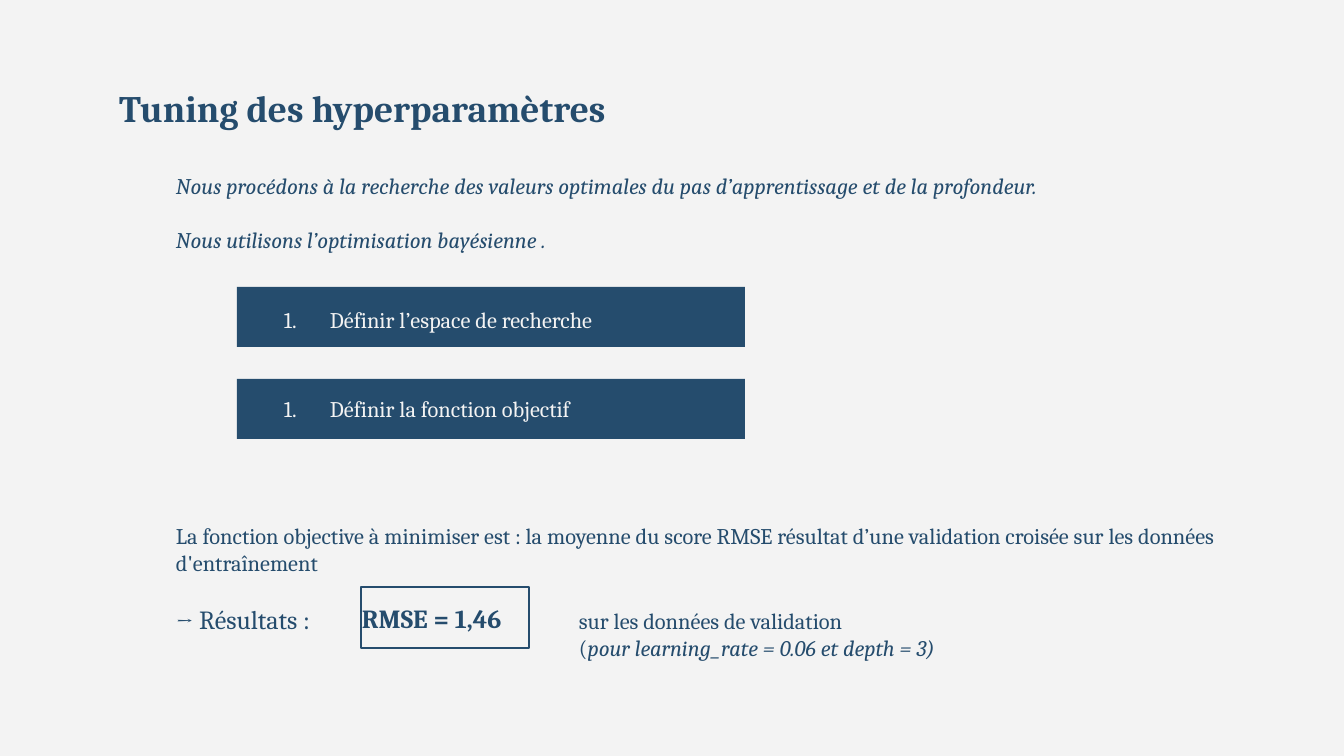
"""Build the slide on hyperparameter tuning."""
import lxml.etree
import pptx
import pptx.dml.color
import pptx.enum.shapes
import pptx.enum.text
import pptx.oxml.ns
import pptx.util

SCALE = 914400 / 134.4
NAVY, PALE = "254C6D", "F3F3F3"


def px(num):
    return pptx.util.Emu(round(num * SCALE))


def color(code):
    return pptx.dml.color.RGBColor.from_string(code)


class Deck:
    font = "Cambria"

    def __init__(self, wide, high):
        self.prs = pptx.Presentation()
        self.prs.slide_width, self.prs.slide_height = px(wide), px(high)
        self.slide = self.prs.slides.add_slide(self.prs.slide_layouts[5])
        fill = self.slide.background.fill
        fill.solid()
        fill.fore_color.rgb = color(PALE)

    def frame(self, shape, pad=(0, 0)):
        frame = shape.text_frame
        frame.word_wrap = True
        frame.auto_size = pptx.enum.text.MSO_AUTO_SIZE.NONE
        frame.vertical_anchor = pptx.enum.text.MSO_ANCHOR.MIDDLE
        frame.margin_left, frame.margin_top = px(pad[0]), px(pad[1])
        frame.margin_right = frame.margin_bottom = 0
        return frame

    def style(self, para, size=12, tint=NAVY, bold=False, slant=None):
        para.alignment = pptx.enum.text.PP_ALIGN.LEFT
        font = para.font
        font.name, font.size = self.font, pptx.util.Pt(size)
        font.color.rgb = color(tint)
        font.bold, font.italic = bold, slant

    def title(self, text, x, y, w, h):
        shape = self.slide.shapes.title
        shape.left, shape.top, shape.width, shape.height = map(px, (x, y, w, h))
        frame = self.frame(shape, (13, 0))
        frame.text = text
        self.style(frame.paragraphs[0], 20, bold=True)

    def text(self, lines, x, y, w, h, gap=0, slant=None, size=12):
        """Add lines, each a list of (text, run settings) pairs."""
        shape = self.slide.shapes.add_textbox(*map(px, (x, y, w, h)))
        frame = self.frame(shape)
        for i, line in enumerate(lines):
            para = frame.add_paragraph() if i else frame.paragraphs[0]
            self.style(para, size, slant=slant)
            para.space_before = px(gap if i else 0)
            for words, look in line:
                run = para.add_run()
                run.text = words
                for key, value in look.items():
                    setattr(run.font, key, value)

    def box(self, text, x, y, w, h, pad, fill=None, **look):
        kind = pptx.enum.shapes.MSO_SHAPE.RECTANGLE
        shape = self.slide.shapes.add_shape(kind, *map(px, (x, y, w, h)))
        shape.shadow.inherit = False
        if fill:
            shape.fill.solid()
            shape.fill.fore_color.rgb = color(fill)
            shape.line.fill.background()
        else:
            shape.fill.background()
            shape.line.color.rgb = color(NAVY)
            shape.line.width = pptx.util.Pt(0.75)
        frame = self.frame(shape, pad)
        frame.text = text
        self.style(frame.paragraphs[0], **look)
        return frame.paragraphs[0]

    def step(self, text, x, y, w, h, drop=0):
        para = self.box(text, x, y, w, h, (26, drop), NAVY, tint=PALE)
        props = para._p.get_or_add_pPr()
        props.set("marL", str(px(67)))
        props.set("indent", str(-px(46)))
        mark = lxml.etree.SubElement(props, pptx.oxml.ns.qn("a:buAutoNum"))
        mark.set("type", "arabicPeriod")
        props.insert_element_before(mark, "a:tabLst", "a:defRPr", "a:extLst")


def main():
    deck = Deck(1344, 756)
    deck.title("Tuning des hyperparamètres", 106, 69, 671, 78)
    deck.text([
        [("Nous procédons à la recherche des valeurs optimales du pas "
          "d’apprentissage et de la profondeur.", {})],
        [("Nous utilisons l’optimisation bayésienne .", {})],
    ], 176, 172, 1058, 81, gap=27, slant=True)
    deck.step("Définir l’espace de recherche", 237, 287, 508, 60, drop=6)
    deck.step("Définir la fonction objectif", 237, 379, 508, 60)
    deck.text([[
        ("La fonction objective à minimiser est : la moyenne du score RMSE "
         "résultat d’une validation croisée sur les données d'entraînement", {}),
    ]], 176, 522, 1058, 54)
    deck.text([[("→", {"size": pptx.util.Pt(12)}), (" Résultats :", {})]],
              176, 602, 180, 34, size=14)
    deck.box("RMSE = 1,46", 361, 587, 168, 61, (1, 2), size=14, bold=True)
    deck.text([
        [("sur les données de validation", {})],
        [("(", {}),
         ("pour learning_rate = 0.06 et depth = 3)", {"italic": True})],
    ], 579, 607, 655, 54)
    deck.prs.save("out.pptx")


if __name__ == "__main__":
    main()
